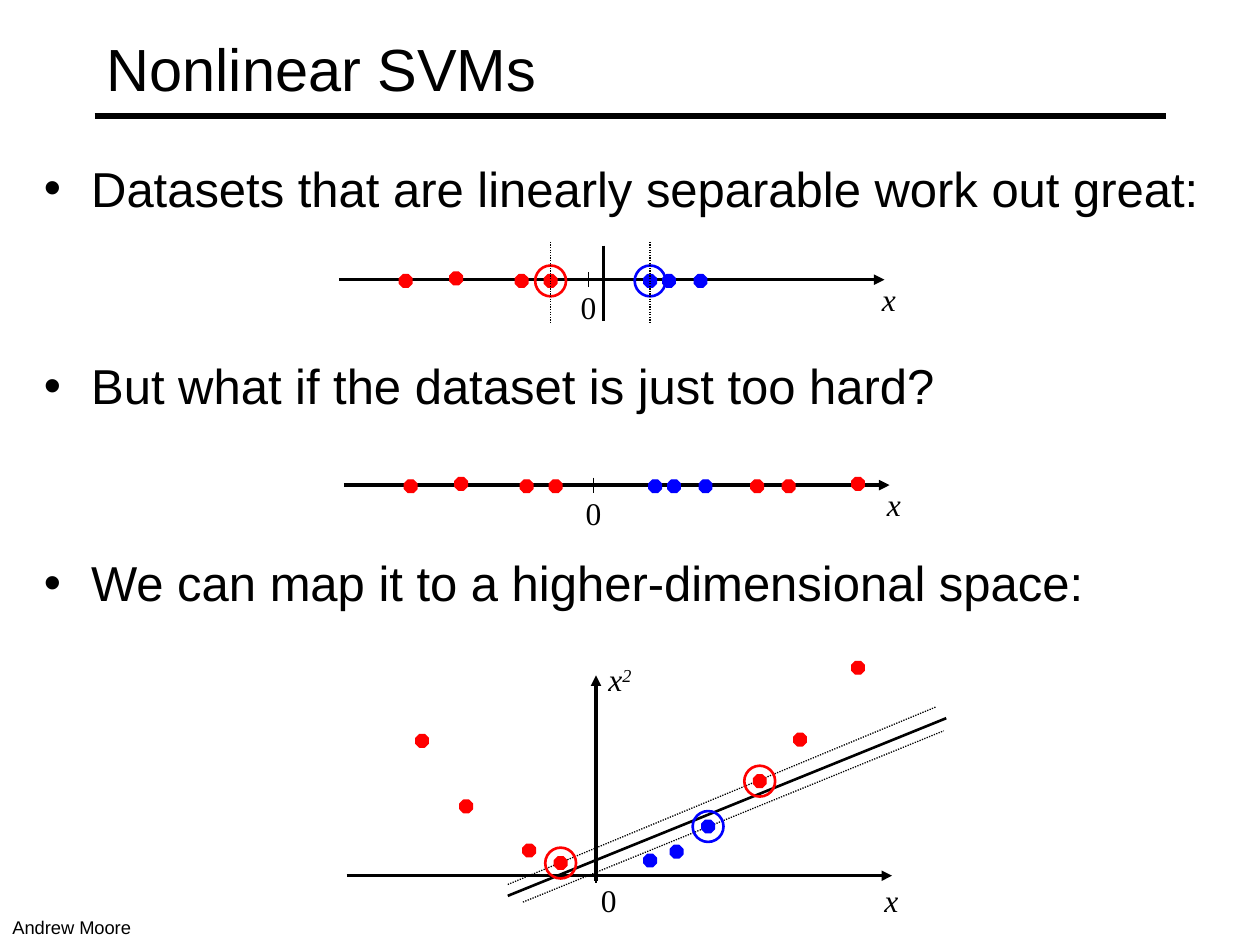
from lxml import etree
from pptx import Presentation
from pptx.dml.color import RGBColor
from pptx.enum.dml import MSO_LINE
from pptx.enum.shapes import MSO_CONNECTOR, MSO_SHAPE
from pptx.enum.text import MSO_ANCHOR
from pptx.oxml.ns import qn
from pptx.util import Inches, Pt

STRAIGHT = MSO_CONNECTOR.STRAIGHT
OCTAGON, OVAL = MSO_SHAPE.OCTAGON, MSO_SHAPE.OVAL
MIDDLE, TOP = MSO_ANCHOR.MIDDLE, MSO_ANCHOR.TOP
DOTTED = MSO_LINE.ROUND_DOT

COLORS = {"ink": "000000", "red": "FF0000", "blue": "0000FF"}
SANS, SERIF = "Arial", "Times New Roman"

# The page is a grid of 100 columns by 75 rows
COLUMNS, ROWS = 100, 75
DOT, RING = 1, 2.45
ORIGIN = 19.8  # columns from the left end of an axis to its zero

# Samples are (columns from the axis start, rows above the axis, colour, ringed)
EASY = [(5.3, -0.1, "red", False), (9.3, 0.1, "red", False),
        (14.5, -0.1, "red", False), (16.8, -0.1, "red", True),
        (26.2, -0.1, "blue", False), (28.7, -0.1, "blue", False),
        (24.7, -0.1, "blue", True)]
HARD = [(x, rise, color, False) for x, rise, color, _ in EASY] + [
    (32.8, -0.1, "red", False), (35.3, -0.1, "red", False),
    (40.8, 0.1, "red", False)]
MAPPED = [(6, 10.7, "red", False), (9.5, 5.5, "red", False),
          (14.5, 2, "red", False), (17, 1, "red", True),
          (26.2, 1.9, "blue", False), (28.7, 3.9, "blue", True),
          (24.1, 1.2, "blue", False), (32.8, 7.5, "red", True),
          (36, 10.8, "red", False), (40.6, 16.5, "red", False)]


def cells(count):
    return Inches(count / 10)


def ink(name="ink"):
    return RGBColor.from_string(COLORS[name])


def add_text(page, box, lines, size, font=SANS, italic=False, anchor=TOP, wrap=True):
    frame = page.shapes.add_textbox(*map(cells, box)).text_frame
    frame.word_wrap = wrap
    frame.vertical_anchor = anchor
    frame.text = "\n".join(lines)
    for para in frame.paragraphs:
        for span in para.runs:
            span.font.size, span.font.name = Pt(size), font
            span.font.italic = italic
            span.font.color.rgb = ink()
    return frame


def add_line(page, start, end, width, dotted=False, arrow=False):
    line = page.shapes.add_connector(STRAIGHT, *map(cells, (*start, *end)))
    line.line.color.rgb = ink()
    line.line.width = Pt(width)
    if dotted:
        line.line.dash_style = DOTTED
    if arrow:
        etree.SubElement(line.line._get_or_add_ln(), qn("a:tailEnd"), type="triangle")
    etree.SubElement(line._element.spPr, qn("a:effectLst"))


def add_mark(page, kind, center, size, color, filled):
    x, y = center
    mark = page.shapes.add_shape(
        kind, *map(cells, (x - size / 2, y - size / 2, size, size)))
    mark.shadow.inherit = False
    mark.line.color.rgb = ink(color)
    mark.line.width = Pt(0.75 if filled else 1.5)
    if filled:
        mark.fill.solid()
        mark.fill.fore_color.rgb = ink(color)
    else:
        mark.fill.background()


def add_label(page, x, y, text):
    return add_text(page, (x, y + 0.2, 5, 4), [text], 18, SERIF, italic=text != "0")


def add_title(page, box, text):
    left, top, width, height = box
    add_text(page, box, [text], 34, anchor=MIDDLE)
    rule = top + height - 0.8
    add_line(page, (left, rule), (left + width, rule), 3)


def add_bullets(page, box, lines):
    frame = add_text(page, box, lines, 28)
    for index, para in enumerate(frame.paragraphs):
        properties = para._p.get_or_add_pPr()
        properties.set("marL", str(cells(3.75)))
        properties.set("indent", str(-cells(3.75)))
        etree.SubElement(properties, qn("a:buFont"), typeface=SANS)
        etree.SubElement(properties, qn("a:buChar"), char="•")
        if index:
            para.space_before = Pt(79)


def add_axis(page, left, axis, width):
    add_line(page, (left, axis), (left + width, axis), 2, arrow=True)
    zero = left + ORIGIN
    add_line(page, (zero, axis - 0.6), (zero, axis + 0.6), 0.75)


def add_samples(page, left, axis, samples):
    for x, rise, color, ringed in samples:
        center = (left + x, axis - rise)
        add_mark(page, OCTAGON, center, DOT, color, True)
        if ringed:
            add_mark(page, OVAL, center, RING, color, False)


def add_number_line(page, box, samples, boundary=None):
    left, top, width, height = box
    axis = top + height / 2
    add_axis(page, left, axis, width)
    add_label(page, left + 18.2, axis, "0")
    add_label(page, left + width - 1.2, axis - 0.7, "x")
    add_samples(page, left, axis, samples)
    # Margins run through the ringed samples
    for x, _, _, ringed in samples:
        if ringed:
            add_line(page, (left + x, axis - 3), (left + x, axis + 3.5), 0.75, dotted=True)
    if boundary is not None:
        x = left + boundary
        add_line(page, (x, axis - 2.7), (x, axis + 3.3), 1.5)


def add_mapped_plot(page, box, samples):
    left, top, width, height = box
    axis, zero = top + height, left + ORIGIN
    add_axis(page, left, axis, width)
    add_line(page, (zero, axis + 0.4), (zero, top), 2, arrow=True)
    add_label(page, left + 19.2, axis - 0.3, "0")
    add_label(page, left + width - 1.6, axis - 0.3, "x")
    # Label of the squared axis
    para = add_label(page, zero, top - 1.9, "x2").paragraphs[0]
    base = para.runs[0]
    base.text = "x"
    power = para.add_run()
    power.text = "2"
    power.font.size, power.font.name, power.font.italic = Pt(18), SERIF, True
    power.font.color.rgb = ink()
    power._r.get_or_add_rPr().set("baseline", "30000")
    # Boundary, then its two margins
    for x1, rise1, x2, rise2, dotted in [(12.8, -1.6, 47.6, 12.5, False),
                                         (12.8, -0.7, 46.8, 13.4, True),
                                         (14, -2.1, 47.4, 11.5, True)]:
        add_line(page, (left + x1, axis - rise1), (left + x2, axis - rise2),
                 0.75 if dotted else 1.5, dotted)
    add_samples(page, left, axis, samples)


def main():
    deck = Presentation()
    deck.slide_width, deck.slide_height = cells(COLUMNS), cells(ROWS)
    page = deck.slides.add_slide(deck.slide_layouts[6])
    add_title(page, (7.5, 0.8, 85, 9.2), "Nonlinear SVMs")
    add_bullets(page, (2.5, 12.1, 95.8, 40), [
        "Datasets that are linearly separable work out great:",
        "But what if the dataset is just too hard?",
        "We can map it to a higher-dimensional space:"])
    add_number_line(page, (26.9, 19.2, 43.3, 6), EASY, boundary=21)
    add_number_line(page, (27.3, 35.5, 43.3, 6), HARD)
    add_mapped_plot(page, (27.5, 53.6, 43.3, 15.9), MAPPED)
    # Author
    add_text(page, (0, 72.2, 11.5, 2.8), ["Andrew Moore"], 10.5, wrap=False)
    deck.save("out.pptx")


if __name__ == "__main__":
    main()
